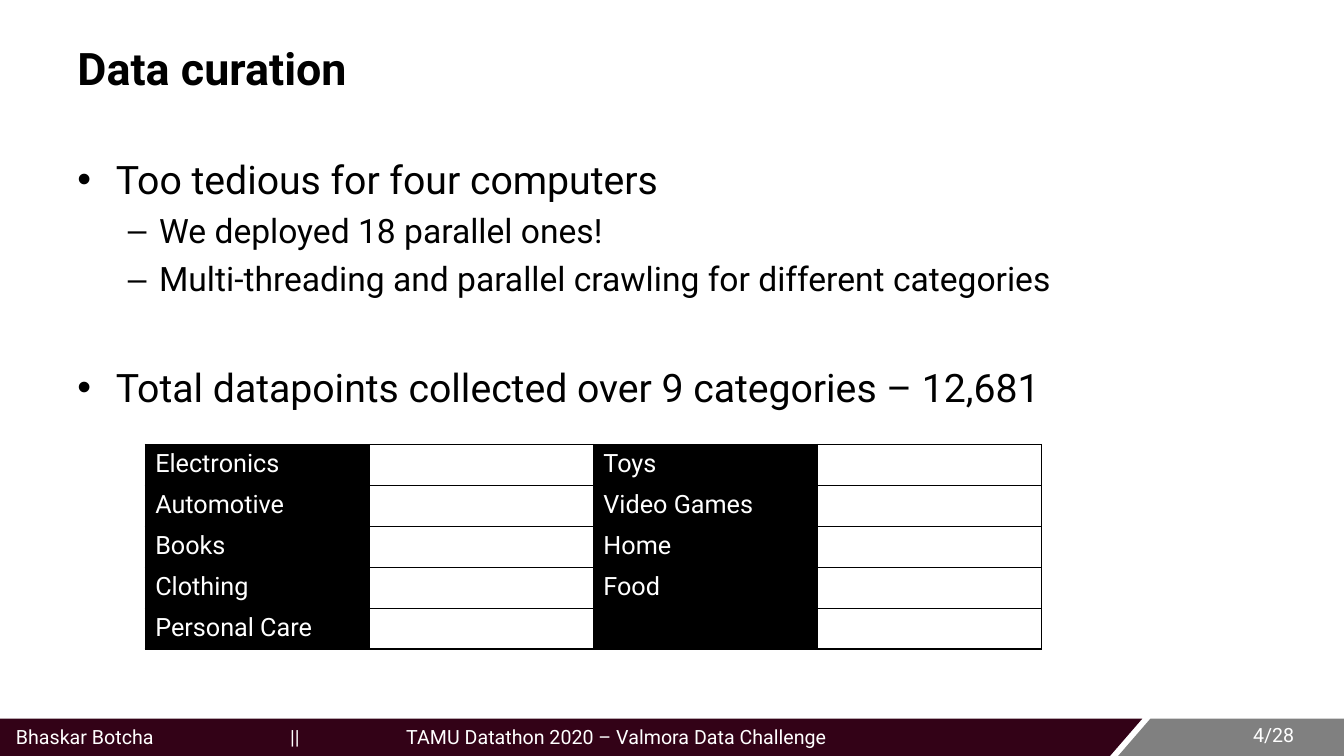
"""Build the data curation slide with its category table and footer."""
import lxml.etree
import pptx
import pptx.dml.color
import pptx.enum.text
import pptx.oxml
import pptx.oxml.ns
import pptx.util

Inches = pptx.util.Inches
Pt = pptx.util.Pt
qn = pptx.oxml.ns.qn


def color(value):
    """Turn a hex string into a colour."""
    return pptx.dml.color.RGBColor.from_string(value)


def write(para, text, size, shade, bold=False):
    """Add one formatted run to a paragraph."""
    run = para.add_run()
    run.text = text
    style = {"name": "Roboto", "size": Pt(size), "bold": bold}
    for key, value in style.items():
        setattr(run.font, key, value)
    run.font.color.rgb = color(shade)


deck = pptx.Presentation()
deck.slide_width = Inches(13.33)
deck.slide_height = Inches(7.5)
slide = deck.slides.add_slide(deck.slide_layouts[6])

bands = [
    ("330217", [(0, 7.13), (11.33, 7.13), (11.01, 7.5), (0, 7.5)]),
    ("808080", [(11.41, 7.13), (13.33, 7.13), (13.33, 7.5), (11.09, 7.5)]),
]
for fill, points in bands:
    points = [(Inches(x), Inches(y)) for x, y in points]
    path = slide.shapes.build_freeform(*points[0])
    path.add_line_segments(points[1:])
    band = path.convert_to_shape()
    band.shadow.inherit = False
    band.fill.solid()
    band.fill.fore_color.rgb = color(fill)
    band.line.fill.background()

footer = "Bhaskar Botcha\t||\tTAMU Datathon 2020 – Valmora Data Challenge"
labels = [
    ("4/28", (12.33, 7.14, 0.77, 0.3), 14, "FFFFFF", False),
    (footer, (0.06, 7.16, 10.59, 0.3), 14, "FFFFFF", False),
    ("Data curation", (0.67, 0.3, 6.58, 0.74), 32, "000000", True),
]
for text, place, size, shade, bold in labels:
    box = slide.shapes.add_textbox(*map(Inches, place))
    frame = box.text_frame
    frame.word_wrap = True
    frame.vertical_anchor = pptx.enum.text.MSO_ANCHOR.MIDDLE
    para = frame.paragraphs[0]
    write(para, text, size, shade, bold)
    if text == footer:
        tabs = lxml.etree.SubElement(para._p.get_or_add_pPr(), qn("a:tabLst"))
        for stop in (2.72, 3.87):
            tab = lxml.etree.SubElement(tabs, qn("a:tab"))
            tab.set("pos", str(Inches(stop)))
            tab.set("algn", "l")

levels = [(28, "•", 0.38, 0.38), (24, "–", 0.81, 0.31)]
points = [
    (0, 5.6, "Too tedious for four computers"),
    (1, 5.6, "We deployed 18 parallel ones!"),
    (1, 5.6, "Multi-threading and parallel crawling for different categories"),
    (0, 46, "Total datapoints collected over 9 categories – 12,681"),
]
body = slide.shapes.add_textbox(*map(Inches, (0.67, 1.49, 12, 4.95)))
frame = body.text_frame
frame.word_wrap = True
for index, (level, space, text) in enumerate(points):
    size, mark, margin, hang = levels[level]
    para = frame.add_paragraph() if index else frame.paragraphs[0]
    para.level = level
    para.space_before = Pt(space)
    write(para, text, size, "000000")
    props = para._p.get_or_add_pPr()
    props.set("marL", str(Inches(margin)))
    props.set("indent", str(-Inches(hang)))
    font = lxml.etree.SubElement(props, qn("a:buFont"))
    font.set("typeface", "Arial")
    lxml.etree.SubElement(props, qn("a:buChar")).set("char", mark)

rows = [
    ("Electronics", "", "Toys", ""),
    ("Automotive", "", "Video Games", ""),
    ("Books", "", "Home", ""),
    ("Clothing", "", "Food", ""),
    ("Personal Care", "", "", ""),
]
place = map(Inches, (1.44, 4.41, 8.89, 2.03))
table = slide.shapes.add_table(len(rows), 4, *place).table
for flag in ("first_row", "horz_banding"):
    setattr(table, flag, False)
for row, words in enumerate(rows):
    for col, text in enumerate(words):
        cell = table.cell(row, col)
        if text:
            write(cell.text_frame.paragraphs[0], text, 18, "FFFFFF")
        cell.fill.solid()
        cell.fill.fore_color.rgb = color("FFFFFF" if col % 2 else "000000")
        props = cell._tc.get_or_add_tcPr()
        for order, side in enumerate(("lnL", "lnR", "lnT", "lnB")):
            edge = lxml.etree.Element(qn("a:" + side), w=str(Pt(1)))
            ink = lxml.etree.SubElement(edge, qn("a:solidFill"))
            lxml.etree.SubElement(ink, qn("a:srgbClr")).set("val", "000000")
            props.insert(order, edge)

deck.save("out.pptx")
